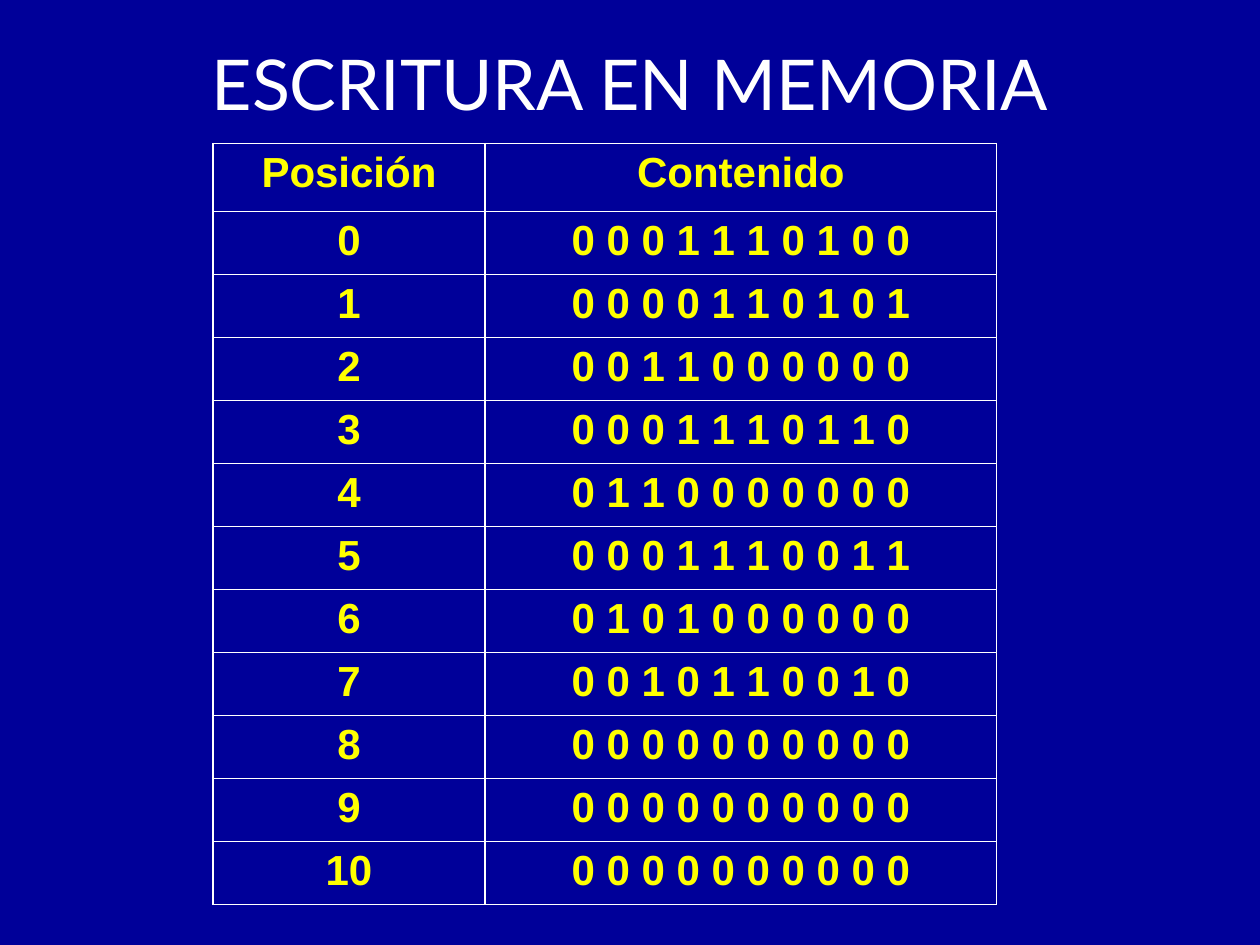
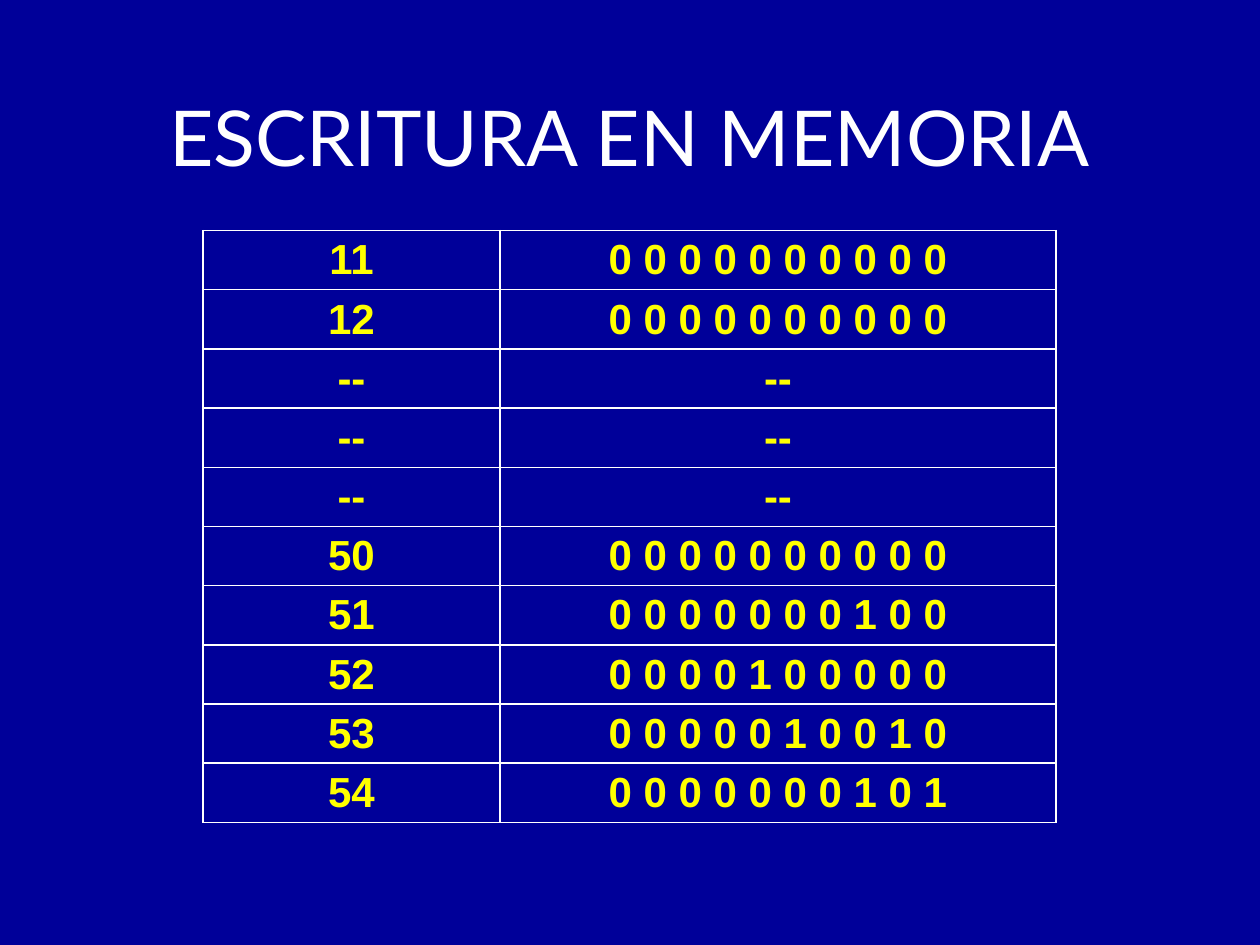
from lxml.etree import SubElement as Sub
from pptx import Presentation
from pptx.dml.color import RGBColor
from pptx.enum.text import MSO_ANCHOR as Anchor, PP_ALIGN as Align
from pptx.oxml.ns import qn
from pptx.util import Inches, Pt

BLUE, WHITE, YELLOW = "000099", "FFFFFF", "FFFF00"
TITLE = "ESCRITURA EN MEMORIA"
ZERO = "0 0 0 0 0 0 0 0 0 0"

# Title height and size, table left and top, column widths, row heights, rows
pages = [
    (0.67, 40, 1.69, 1.14, (2.16, 4.06), [0.54] + [0.5] * 11, [
        ("Posición", "Contenido"),
        ("0", "0 0 0 1 1 1 0 1 0 0"),
        ("1", "0 0 0 0 1 1 0 1 0 1"),
        ("2", "0 0 1 1 0 0 0 0 0 0"),
        ("3", "0 0 0 1 1 1 0 1 1 0"),
        ("4", "0 1 1 0 0 0 0 0 0 0"),
        ("5", "0 0 0 1 1 1 0 0 1 1"),
        ("6", "0 1 0 1 0 0 0 0 0 0"),
        ("7", "0 0 1 0 1 1 0 0 1 0"),
        ("8", ZERO),
        ("9", ZERO),
        ("10", ZERO),
    ]),
    (1.51, 44, 1.61, 1.83, (2.36, 4.41), [0.47] * 10, [
        ("11", ZERO),
        ("12", ZERO),
        *[("--", "--")] * 3,
        ("50", ZERO),
        ("51", "0 0 0 0 0 0 0 1 0 0"),
        ("52", "0 0 0 0 1 0 0 0 0 0"),
        ("53", "0 0 0 0 0 1 0 0 1 0"),
        ("54", "0 0 0 0 0 0 0 1 0 1"),
    ]),
]


def paint(fill, color):
    fill.solid()
    fill.fore_color.rgb = RGBColor.from_string(color)


def style(par, font, size, color, bold=False):
    par.alignment = Align.CENTER
    par.font.name = font
    par.font.size = Pt(size)
    par.font.bold = bold
    paint(par.font.fill, color)


prs = Presentation()
prs.slide_width, prs.slide_height = Inches(10), Inches(7.5)
paint(prs.slide_master.background.fill, BLUE)

for high, size, left, top, widths, heights, rows in pages:
    slide = prs.slides.add_slide(prs.slide_layouts[5])
    title = slide.shapes.title
    title.left, title.top = Inches(0.5), Inches(0.32)
    title.width, title.height = Inches(9), Inches(high)
    title.text_frame.text = TITLE
    title.text_frame.vertical_anchor = Anchor.MIDDLE
    style(title.text_frame.paragraphs[0], "Lato", size, WHITE)

    table = slide.shapes.add_table(
        len(rows), len(widths), Inches(left), Inches(top),
        Inches(sum(widths)), Inches(sum(heights))).table
    table.first_row = table.horz_banding = False
    for col, width in zip(table.columns, widths):
        col.width = Inches(width)
    for row, height, texts in zip(table.rows, heights, rows):
        row.height = Inches(height)
        for cell, text in zip(row.cells, texts):
            cell.text = text
            cell.margin_left = cell.margin_right = Inches(0.1)
            cell.margin_top, cell.margin_bottom = Inches(0.05), Inches(0.04)
            par = cell.text_frame.paragraphs[0]
            style(par, "Arial", 24, YELLOW, True)
            # Hanging indent
            props = par._p.get_or_add_pPr()
            props.set("marL", str(Inches(0.38)))
            props.set("indent", str(Inches(-0.38)))
            # Borders go before the fill
            edges = cell._tc.get_or_add_tcPr()
            for side in "LRTB":
                line = Sub(edges, qn(f"a:ln{side}"), w=str(Pt(1)))
                Sub(Sub(line, qn("a:solidFill")), qn("a:srgbClr"), val=WHITE)
            paint(cell.fill, BLUE)

prs.save("out.pptx")
